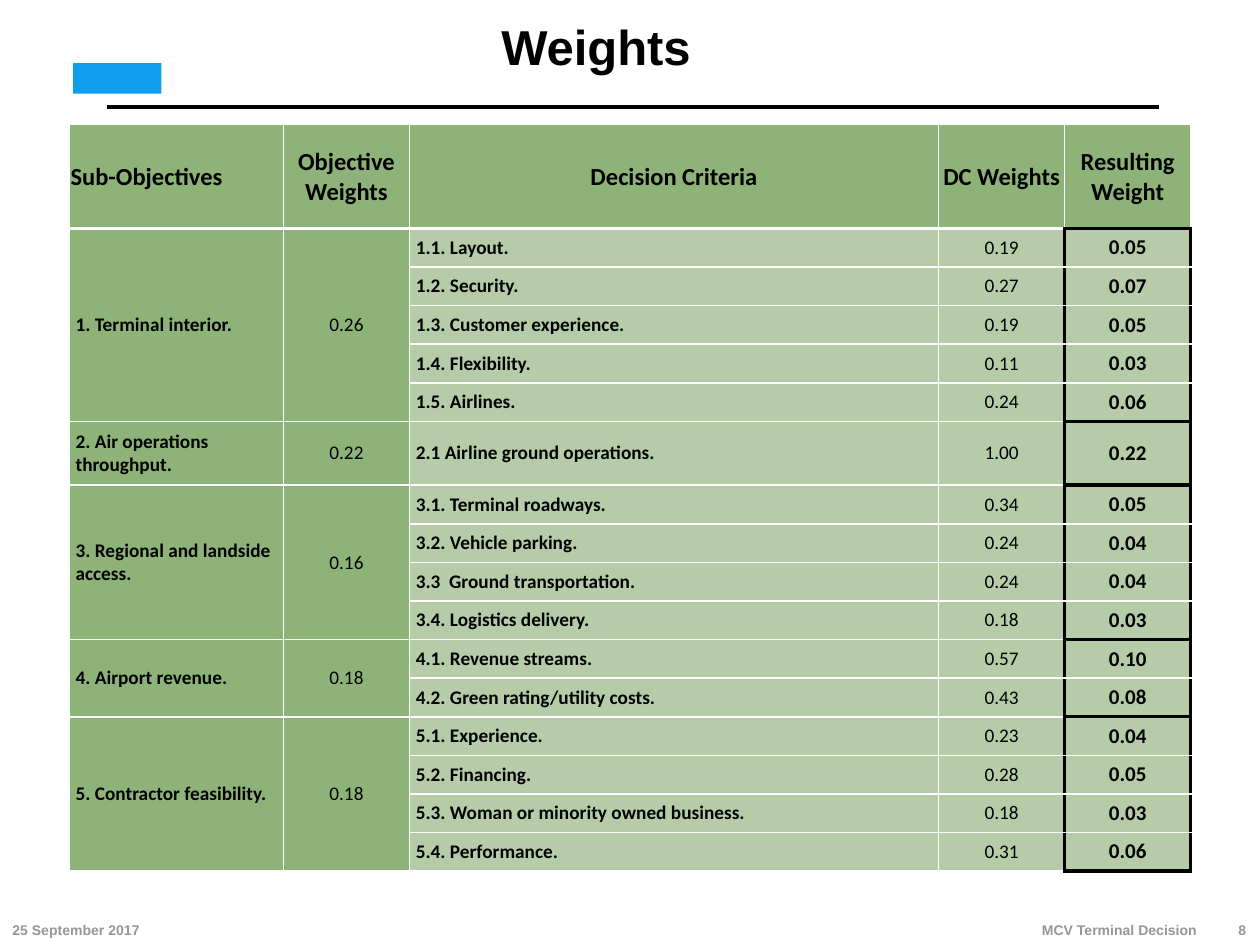
from dataclasses import dataclass
from lxml.etree import SubElement
from pptx import Presentation
from pptx.dml.color import RGBColor as RGB
from pptx.enum.shapes import MSO_CONNECTOR as Connector, MSO_SHAPE as Shape
from pptx.enum.text import MSO_ANCHOR as Anchor, PP_ALIGN as Align
from pptx.oxml.ns import qn
from pptx.util import Pt


@dataclass(frozen=True)
class Theme:
    black: str = "000000"
    white: str = "FFFFFF"
    grey: str = "969696"
    blue: str = "0F9DEC"
    dark_green: str = "8EB379"
    light_green: str = "B6CCA8"
    heading_font: str = "Arial"
    table_font: str = "Calibri"
    title_size: float = 28
    header_size: float = 14
    result_size: float = 12
    body_size: float = 11
    footer_size: float = 8
    thin: float = 1
    thick: float = 2.25


THEME = Theme()
TITLE = "Weights"
FOOTERS = [
    ("25 September 2017", 0, 521.5, 144, Align.LEFT),
    ("8", 690.5, 521.5, 28.8, Align.RIGHT),
    ("MCV Terminal Decision", 475.2, 521.5, 216, Align.RIGHT),
]
HEADERS = ["Sub-Objectives", "Objective Weights", "Decision Criteria",
           "DC Weights", "Resulting Weight"]
OBJECTIVES = [
    ("1. Terminal interior.", "0.26", [
        ("1.1. Layout.", "0.19", "0.05"),
        ("1.2. Security.", "0.27", "0.07"),
        ("1.3. Customer experience.", "0.19", "0.05"),
        ("1.4. Flexibility.", "0.11", "0.03"),
        ("1.5. Airlines.", "0.24", "0.06"),
    ]),
    ("2. Air operations throughput.", "0.22", [
        ("2.1 Airline ground operations.", "1.00", "0.22"),
    ]),
    ("3. Regional and landside access.", "0.16", [
        ("3.1. Terminal roadways.", "0.34", "0.05"),
        ("3.2. Vehicle parking.", "0.24", "0.04"),
        ("3.3  Ground transportation.", "0.24", "0.04"),
        ("3.4. Logistics delivery.", "0.18", "0.03"),
    ]),
    ("4. Airport revenue.", "0.18", [
        ("4.1. Revenue streams.", "0.57", "0.10"),
        ("4.2. Green rating/utility costs.", "0.43", "0.08"),
    ]),
    ("5. Contractor feasibility.", "0.18", [
        ("5.1. Experience.", "0.23", "0.04"),
        ("5.2. Financing.", "0.28", "0.05"),
        ("5.3. Woman or minority owned business.", "0.18", "0.03"),
        ("5.4. Performance.", "0.31", "0.06"),
    ]),
]
COLUMN_WIDTHS = [122.4, 72, 302.4, 72, 72]
HEADER_HEIGHT, ROW_HEIGHT, SINGLE_ROW_HEIGHT = 59.5, 22.08, 36.5
TABLE_LEFT, TABLE_TOP = 39.6, 71


def write(frame, text, font, size, color, bold, align):
    frame.text = text
    paragraph = frame.paragraphs[0]
    paragraph.alignment = align
    for run in paragraph.runs:
        run.font.name, run.font.size, run.font.bold = font, Pt(size), bold
        run.font.color.rgb = RGB.from_string(color)
    return paragraph


def add_label(slide, box, text, size, color, align, anchor, insets, wrap):
    frame = slide.shapes.add_textbox(*map(Pt, box)).text_frame
    frame.word_wrap, frame.vertical_anchor = wrap, anchor
    frame.margin_left = frame.margin_right = Pt(insets[0])
    frame.margin_top = frame.margin_bottom = Pt(insets[1])
    return write(frame, text, THEME.heading_font, size, color, True, align)


def set_borders(cell, heavy, top_width):
    properties = cell._tc.get_or_add_tcPr()
    for side in "LRTB":
        width = THEME.thick if side in heavy else top_width if side == "T" else THEME.thin
        color = THEME.black if side in heavy else THEME.white
        line = SubElement(properties, qn(f"a:ln{side}"), w=str(Pt(width)))
        fill = SubElement(line, qn("a:solidFill"))
        SubElement(fill, qn("a:srgbClr"), val=color)


def style_cell(cell, text, size, bold, align, color, heavy="", top_width=THEME.thin, header=False):
    write(cell.text_frame, text, THEME.table_font, size, THEME.black, bold, align)
    cell.vertical_anchor = Anchor.MIDDLE
    inset = 0.72 if header else 3.6
    cell.margin_left = cell.margin_right = cell.margin_top = Pt(inset)
    cell.margin_bottom = Pt(0 if header else inset)
    set_borders(cell, heavy, top_width)
    cell.fill.solid()
    cell.fill.fore_color.rgb = RGB.from_string(color)


def add_weights_table(slide):
    heights = [HEADER_HEIGHT] + [
        ROW_HEIGHT if len(criteria) > 1 else SINGLE_ROW_HEIGHT
        for _, _, criteria in OBJECTIVES for _ in criteria]
    weights = slide.shapes.add_table(
        len(heights), len(COLUMN_WIDTHS), Pt(TABLE_LEFT), Pt(TABLE_TOP),
        Pt(sum(COLUMN_WIDTHS)), Pt(sum(heights))).table
    weights.first_row = weights.horz_banding = False
    for column, width in zip(weights.columns, COLUMN_WIDTHS):
        column.width = Pt(width)
    for row, height in zip(weights.rows, heights):
        row.height = Pt(height)

    last = len(HEADERS) - 1
    for column, header in enumerate(HEADERS):
        style_cell(weights.cell(0, column), header, THEME.header_size, True,
                   Align.CENTER if column else Align.LEFT, THEME.dark_green,
                   "B" if column == last else "", header=True)

    first = 1
    for objective, objective_weight, criteria in OBJECTIVES:
        end = first + len(criteria) - 1
        for row, (criterion, weight, result) in enumerate(criteria, first):
            top = THEME.thick if row == 1 else THEME.thin
            group = (objective, objective_weight) if row == first else ("", "")
            box = "LR" + "T" * (row == first) + "B" * (row == end)
            columns = [
                (group[0], THEME.body_size, True, Align.LEFT, THEME.dark_green, ""),
                (group[1], THEME.body_size, False, Align.CENTER, THEME.dark_green, ""),
                (criterion, THEME.body_size, True, Align.LEFT, THEME.light_green, ""),
                (weight, THEME.body_size, False, Align.CENTER, THEME.light_green, "R"),
                (result, THEME.result_size, True, Align.CENTER, THEME.light_green, box),
            ]
            for column, settings in enumerate(columns):
                style_cell(weights.cell(row, column), *settings, top_width=top)
        if end > first:
            for column in (0, 1):
                weights.cell(first, column).merge(weights.cell(end, column))
        first = end + 1


def main():
    deck = Presentation()
    deck.slide_width, deck.slide_height = Pt(720), Pt(540)
    slide = deck.slides.add_slide(deck.slide_layouts[6])

    rule = slide.shapes.add_connector(
        Connector.STRAIGHT, Pt(61.2), Pt(61.2), Pt(662.4), Pt(61.2))
    rule.line.width = Pt(2.5)
    rule.line.color.rgb = RGB.from_string(THEME.black)
    SubElement(rule._element.spPr, qn("a:effectLst"))

    emblem = slide.shapes.add_shape(Shape.RECTANGLE, Pt(41.8), Pt(36), Pt(50.4), Pt(17.5))
    emblem.shadow.inherit = False
    emblem.fill.solid()
    emblem.fill.fore_color.rgb = RGB.from_string(THEME.blue)
    emblem.line.fill.background()

    title = add_label(slide, (52.6, 0, 576, 56.2), TITLE, THEME.title_size,
                      THEME.black, Align.CENTER, Anchor.MIDDLE, (0, 0), True)
    title.line_spacing = 0.9
    for text, left, top, width, align in FOOTERS:
        add_label(slide, (left, top, width, 18), text, THEME.footer_size,
                  THEME.grey, align, Anchor.BOTTOM, (7.2, 3.6), False)
    add_weights_table(slide)
    deck.save("out.pptx")


if __name__ == "__main__":
    main()
